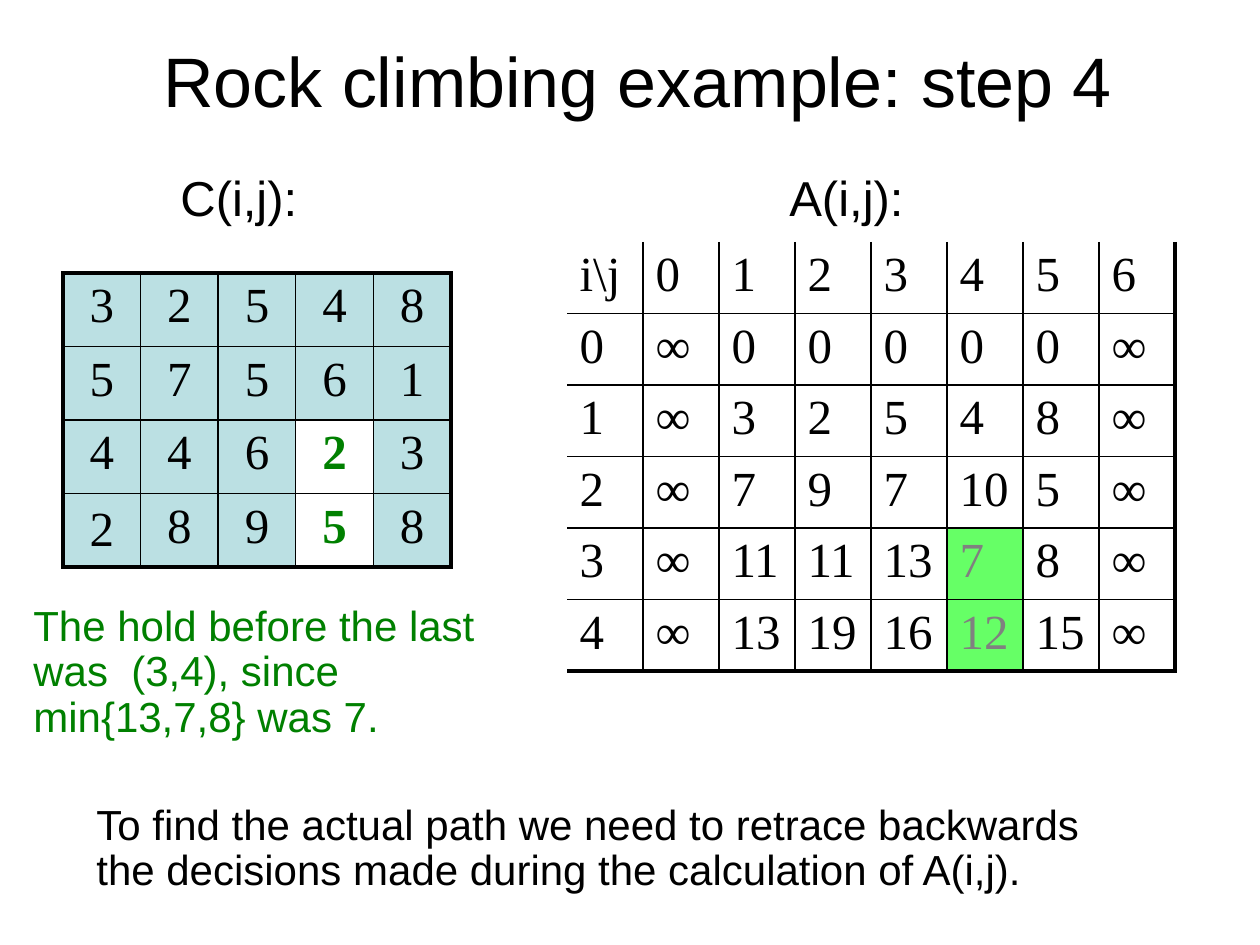
from lxml.etree import SubElement
from pptx import Presentation
from pptx.dml.color import RGBColor
from pptx.enum.text import MSO_ANCHOR, MSO_AUTO_SIZE, PP_ALIGN
from pptx.oxml.ns import qn
from pptx.util import Emu, Pt

EMU_PER_PX = 914400 / 126
COLORS = {
    "ink": "000000",
    "answer": "008000",
    "muted": "808080",
    "hold": "BBE0E3",
    "paper": "FFFFFF",
    "path": "66FF66",
}
THIN, THICK = 1, 2.25
COSTS = ["3 2 5 4 8", "5 7 5 6 1", "4 4 6 2 3", "2 8 9 5 8"]
TOTALS = [
    "i\\j 0 1 2 3 4 5 6",
    "0 ∞ 0 0 0 0 0 ∞",
    "1 ∞ 3 2 5 4 8 ∞",
    "2 ∞ 7 9 7 10 5 ∞",
    "3 ∞ 11 11 13 7 8 ∞",
    "4 ∞ 13 19 16 12 15 ∞",
]


def px(length):
    """Turn pixels into EMU."""
    return Emu(round(length * EMU_PER_PX))


def rgb(name):
    """Look up a named colour."""
    return RGBColor.from_string(COLORS[name])


def write_text(frame, text, size=28, font="Arial", color="ink", bold=False,
               align=PP_ALIGN.LEFT, line_spacing=None, before_percent=None):
    """Fill a text frame with one formatted paragraph per line of text."""
    for index, line in enumerate(text.split("\n")):
        para = frame.add_paragraph() if index else frame.paragraphs[0]
        para.alignment = align
        para.line_spacing = line_spacing
        if before_percent is not None:
            spacing = SubElement(para._p.get_or_add_pPr(), qn("a:spcBef"))
            SubElement(spacing, qn("a:spcPct"), val=str(before_percent * 1000))
        span = para.add_run()
        span.text = line
        span.font.size = Pt(size)
        span.font.name = font
        span.font.bold = bold
        span.font.color.rgb = rgb(color)


def add_label(page, area, text, wrap=True, **text_format):
    """Add a text box that fits its text."""
    box = page.shapes.add_textbox(*map(px, area))
    box.text_frame.word_wrap = wrap
    box.text_frame.auto_size = MSO_AUTO_SIZE.SHAPE_TO_FIT_TEXT
    write_text(box.text_frame, text, line_spacing=0.9, **text_format)


def set_borders(cell, widths):
    """Draw the left, right, top and bottom cell borders; zero hides one."""
    properties = cell._tc.get_or_add_tcPr()
    for position, (side, width) in enumerate(zip("LRTB", widths)):
        line = properties.makeelement(qn(f"a:ln{side}"), {"w": str(Pt(width))})
        properties.insert(position, line)
        if width:
            fill = SubElement(line, qn("a:solidFill"))
            SubElement(fill, qn("a:srgbClr"), val=COLORS["ink"])
        else:
            SubElement(line, qn("a:noFill"))


def add_grid(page, area, lines, frame_widths, path_cells, path_format,
             path_fill, fill=None, align=PP_ALIGN.LEFT):
    """Add an evenly divided table with an outer frame and a marked path."""
    rows = [line.split() for line in lines]
    row_count, column_count = len(rows), len(rows[0])
    left, right, top, bottom = frame_widths
    table = page.shapes.add_table(row_count, column_count, *map(px, area)).table
    table.first_row = table.horz_banding = False
    for column in table.columns:
        column.width = px(area[2] / column_count)
    for row in table.rows:
        row.height = px(area[3] / row_count)
    for i, values in enumerate(rows):
        for j, value in enumerate(values):
            cell = table.cell(i, j)
            on_path = (i, j) in path_cells
            cell_fill = path_fill if on_path else fill
            if cell_fill:
                cell.fill.solid()
                cell.fill.fore_color.rgb = rgb(cell_fill)
            else:
                cell.fill.background()
            set_borders(cell, (
                left if j == 0 else THIN,
                right if j == column_count - 1 else THIN,
                top if i == 0 else THIN,
                bottom if i == row_count - 1 else THIN,
            ))
            write_text(cell.text_frame, value, font="Times New Roman",
                       align=align, before_percent=20,
                       **(path_format if on_path else {}))
    return table


def add_title(page, area, text):
    """Place and fill the title placeholder."""
    title = page.shapes.title
    title.left, title.top, title.width, title.height = map(px, area)
    title.text_frame.vertical_anchor = MSO_ANCHOR.MIDDLE
    write_text(title.text_frame, text, size=40, align=PP_ALIGN.CENTER)


def main():
    """Build the slide and save the deck."""
    deck = Presentation()
    deck.slide_width, deck.slide_height = px(1260), px(945)
    page = deck.slides.add_slide(deck.slide_layouts[5])

    add_title(page, (102, 0, 1071, 158), "Rock climbing example: step 4")
    costs = add_grid(page, (63, 273, 388, 294), COSTS, (THICK,) * 4,
                     {(2, 3), (3, 3)}, {"color": "answer", "bold": True},
                     "paper", fill="hold", align=PP_ALIGN.CENTER)
    costs.cell(3, 0).vertical_anchor = MSO_ANCHOR.MIDDLE
    add_label(page, (168, 168, 144, 66), "C(i,j):", wrap=False)
    add_label(page, (777, 168, 146, 66), "A(i,j):", wrap=False)
    add_grid(page, (567, 242, 608, 428), TOTALS, (0, THICK, 0, THICK),
             {(4, 5), (5, 5)}, {"color": "muted"}, "path")
    add_label(page, (21, 599, 514, 149),
              "The hold before the last\nwas  (3,4), since\nmin{13,7,8} was 7.",
              size=24, color="answer")
    add_label(page, (84, 798, 1104, 103),
              "To find the actual path we need to retrace backwards\n"
              "the decisions made during the calculation of A(i,j).", size=24)
    deck.save("out.pptx")


if __name__ == "__main__":
    main()
